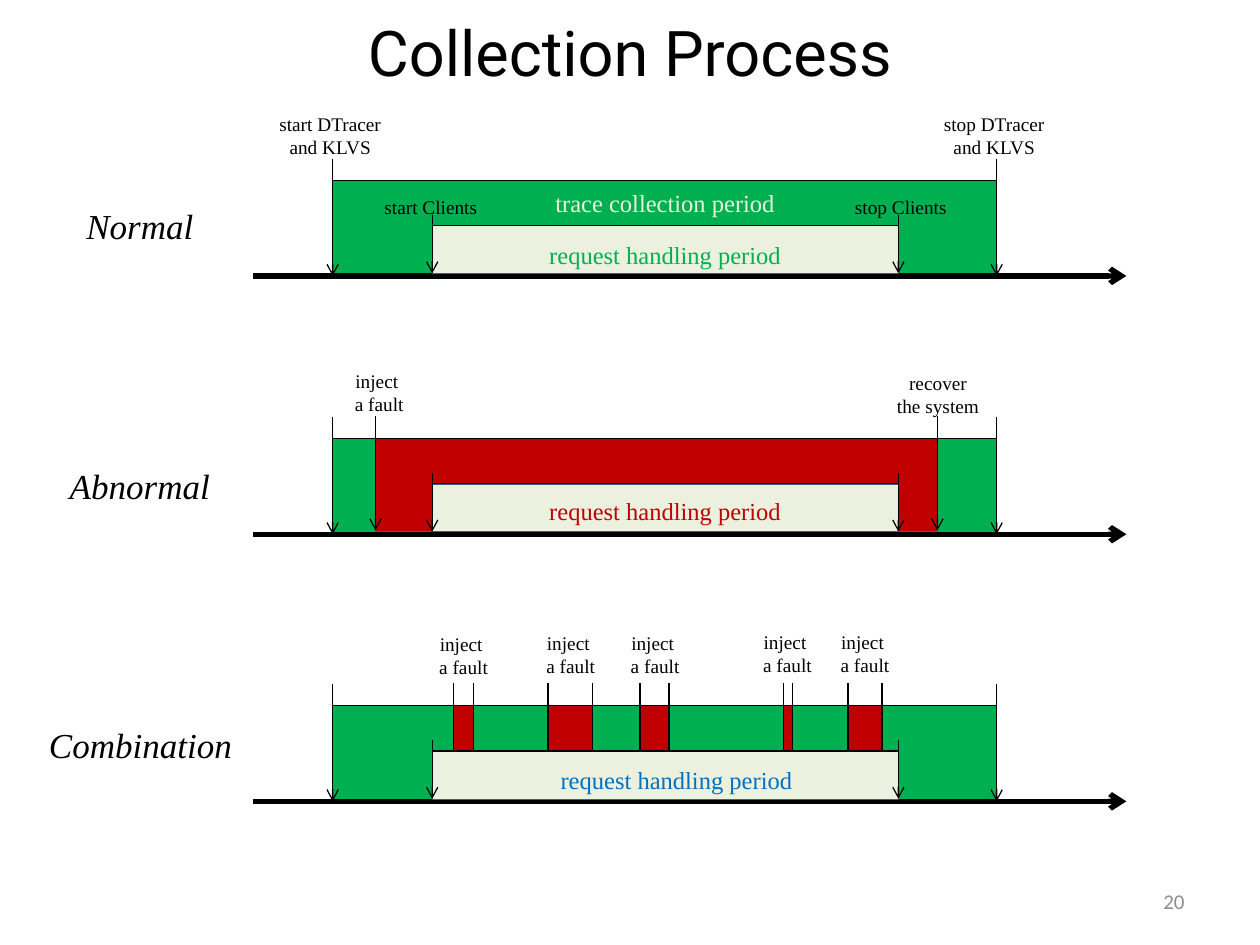
from lxml import etree
from pptx import Presentation
from pptx.dml.color import RGBColor
from pptx.enum.shapes import MSO_CONNECTOR, MSO_SHAPE
from pptx.enum.text import MSO_ANCHOR, MSO_AUTO_SIZE, PP_ALIGN
from pptx.oxml.ns import qn
from pptx.util import Inches, Pt

BLACK = RGBColor(0x00, 0x00, 0x00)
GREEN = RGBColor(0x00, 0xB0, 0x50)
RED = RGBColor(0xC0, 0x00, 0x00)
BLUE = RGBColor(0x00, 0x70, 0xC0)
CREAM = RGBColor(0xEB, 0xF1, 0xDE)
GREY = RGBColor(0x8C, 0x8C, 0x8C)
OUTLINE = RGBColor(0x3A, 0x5F, 0x8C)

COLUMNS, ROWS = 100, 75
SERIF = "Times New Roman"

# Columns and row offsets shared by the three timelines
COLLECT = (26.4, 79.1)
REQUEST = (34.3, 71.3)
AXIS = (20.1, 89.4)
COLLECT_RISE, REQUEST_RISE = 7.6, 4.0


class TimelineSlide:
    def __init__(self, deck):
        self.slide = deck.slides.add_slide(deck.slide_layouts[5])
        self.column = deck.slide_width / COLUMNS
        self.row = deck.slide_height / ROWS

    def lengths(self, x, y, other_x, other_y):
        return (round(x * self.column), round(y * self.row),
                round(other_x * self.column), round(other_y * self.row))

    def style(self, frame, size, color, font=SERIF, italic=False,
              align=PP_ALIGN.CENTER):
        for para in frame.paragraphs:
            para.alignment = align
            for span in para.runs:
                span.font.name = font
                span.font.size = Pt(size)
                span.font.italic = italic
                span.font.color.rgb = color

    def title(self, text, height):
        box = self.slide.shapes.title
        box.left, box.top, box.width, box.height = self.lengths(
            0, 0, COLUMNS, height)
        box.text_frame.text = text
        box.text_frame.vertical_anchor = MSO_ANCHOR.BOTTOM
        self.style(box.text_frame, 36, BLACK, "Roboto")

    def label(self, text, center, top, width, height, size=11, color=BLACK,
              **style):
        box = self.slide.shapes.add_textbox(
            *self.lengths(center - width / 2, top, width, height))
        frame = box.text_frame
        frame.text = text
        frame.word_wrap = True
        frame.auto_size = MSO_AUTO_SIZE.SHAPE_TO_FIT_TEXT
        frame.margin_left = frame.margin_right = 0
        self.style(frame, size, color, **style)

    def page_number(self, text, left, top, width, height):
        box = self.slide.shapes.add_textbox(
            *self.lengths(left, top, width, height))
        box.text_frame.text = text
        box.text_frame.vertical_anchor = MSO_ANCHOR.MIDDLE
        box.text_frame.word_wrap = True
        self.style(box.text_frame, 12, GREY, "Calibri", align=PP_ALIGN.RIGHT)

    def line(self, x, y, end_x, end_y, weight=0.75, arrow=True):
        connector = self.slide.shapes.add_connector(
            MSO_CONNECTOR.STRAIGHT, *self.lengths(x, y, end_x, end_y))
        connector.line.color.rgb = BLACK
        connector.line.width = Pt(weight)
        if arrow:
            stroke = connector.line._get_or_add_ln()
            etree.SubElement(stroke, qn("a:tailEnd"), type="arrow")
        etree.SubElement(connector._element.spPr, qn("a:effectLst"))

    def period(self, span, top, bottom, fill, marker_rise, tip):
        """A filled span with a top edge and an arrow down each side."""
        left, right = span
        block = self.slide.shapes.add_shape(
            MSO_SHAPE.RECTANGLE,
            *self.lengths(left, top, right - left, bottom - top))
        block.shadow.inherit = False
        block.fill.solid()
        block.fill.fore_color.rgb = fill
        block.line.color.rgb = OUTLINE
        block.line.width = Pt(0.25)
        self.line(left, top, right, top, arrow=False)
        for side in span:
            self.line(side, top - marker_rise, side, tip)

    def collection(self, name, axis, name_top, name_center, name_width):
        self.period(COLLECT, axis - COLLECT_RISE, axis, GREEN, 1.7, axis)
        self.label(name, name_center, name_top, name_width, 4.4, size=20,
                   italic=True)
        self.line(AXIS[0], axis, AXIS[1], axis, weight=3)

    def fault(self, span, axis, tip):
        self.period(span, axis - COLLECT_RISE, axis - 0.2, RED, 1.8, tip)

    def request(self, axis, color, center, text_top):
        bottom = axis - 0.2
        self.period(REQUEST, axis - REQUEST_RISE, bottom, CREAM, 0.85, bottom)
        self.label("request handling period", center, text_top, 20.4, 3.4,
                   size=14, color=color)


def main():
    deck = Presentation()
    deck.slide_width, deck.slide_height = Inches(10), Inches(7.5)
    page = TimelineSlide(deck)
    page.title("Collection Process", 7.6)

    # Normal timeline
    normal = 21.9
    page.collection("Normal", normal, 15.7, 11.1, 14.2)
    page.request(normal, GREEN, 52.8, 18.6)
    page.label("trace collection period", 52.8, 14.4, 20.4, 3.4,
               size=14, color=CREAM)
    for verb, outer, inner in (("start", 26.4, 34.2), ("stop", 79.1, 71.5)):
        page.label(f"{verb} DTracer \nand KLVS ", outer, 8.4, 11, 4.7)
        page.label(f"{verb} Clients", inner, 15, 10, 2.9)

    # Abnormal timeline: one fault, recovered at the end
    abnormal = 42.4
    page.collection("Abnormal", abnormal, 36.4, 11.1, 14.2)
    page.fault((29.8, 74.4), abnormal, abnormal - 0.3)
    page.request(abnormal, RED, 52.8, 38.9)
    page.label("inject \na fault", 30.1, 28.8, 7.4, 4.7)
    page.label("recover\nthe system", 74.45, 29, 8.7, 4.7)

    # Combination timeline: several short faults
    combination = 63.6
    page.collection("Combination", combination, 56.9, 11.15, 17.5)
    faults = (((36, 37.6), 36.8, 49.7), ((43.5, 47), 45.3, 49.6),
              ((50.8, 53.1), 52, 49.6), ((62.2, 62.9), 62.5, 49.5),
              ((67.3, 70), 68.65, 49.5))
    for span, center, top in faults:
        page.fault(span, combination, combination - 0.4)
        page.label("inject \na fault", center, top, 6.4, 4.7)
    page.request(combination, BLUE, 53.7, 60.2)

    page.page_number("20", 71.7, 69.5, 23.3, 4)
    deck.save("out.pptx")


if __name__ == "__main__":
    main()
